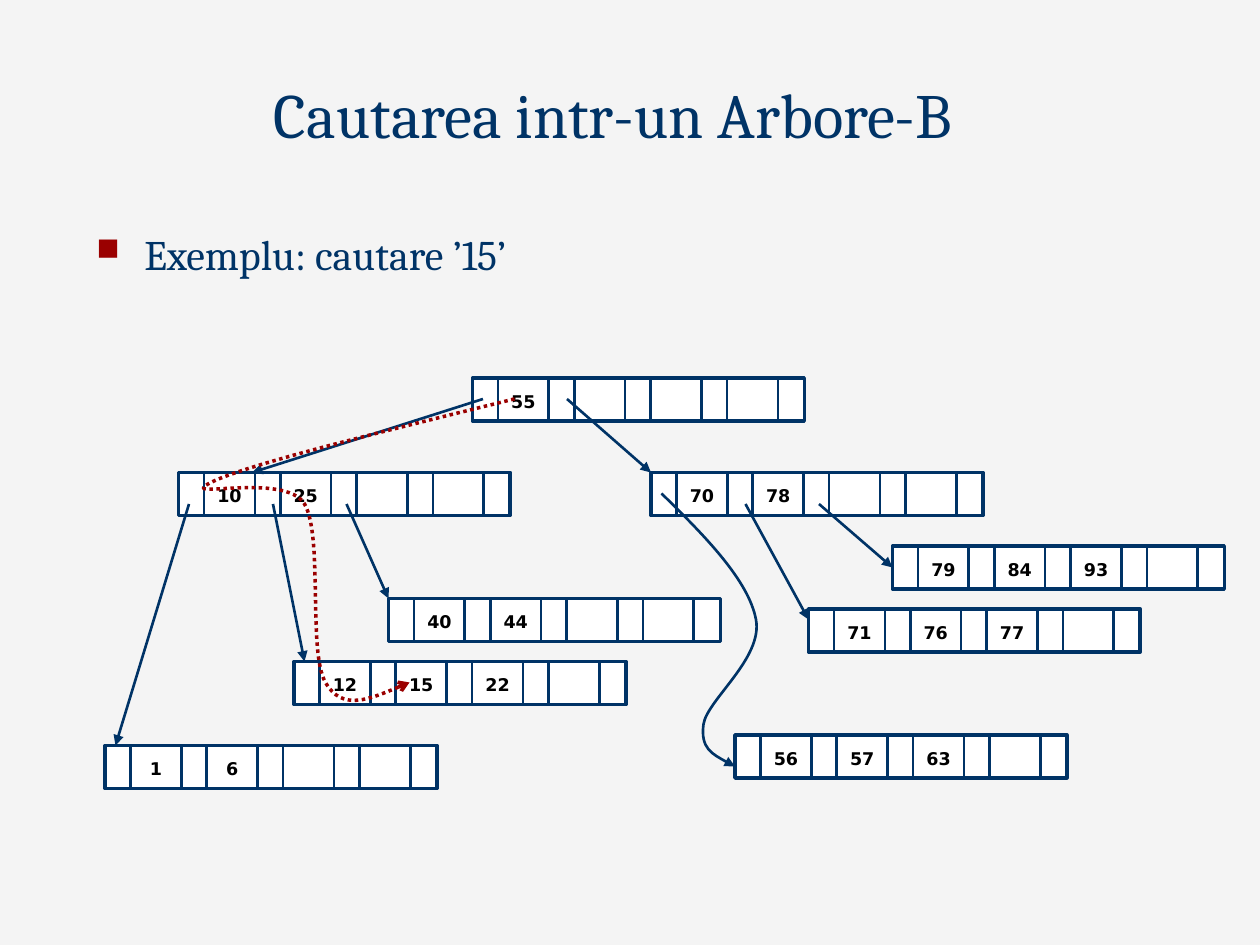
from lxml import etree
from pptx import Presentation
from pptx import util as u
from pptx.dml.color import RGBColor
from pptx.enum import dml, shapes, text
from pptx.oxml import ns

NAVY, RED, WHITE, BLACK, PAPER = "003366", "9A0000", "FFFFFF", "000000", "F4F4F4"


def color(hex_code):
    """Turn a hex string into a colour."""
    return RGBColor.from_string(hex_code)


def add_xml(parent, tag, **attributes):
    """Append a DrawingML element to parent."""
    return etree.SubElement(parent, ns.qn(tag), attributes)


class TreeSlide:
    """Draws B-tree parts on a grid of 120 columns and 90 rows."""

    serif, sans = "Cambria", "DejaVu Sans"
    node_width, node_height = 31.6, 4.1
    pointer_width, key_width, key_count = 2.42, 4.85, 4

    def __init__(self, deck):
        """Add a blank slide with a plain background."""
        self.slide = deck.slides.add_slide(deck.slide_layouts[6])
        self.unit = deck.slide_width / 120
        backdrop = self.slide.background.fill
        backdrop.solid()
        backdrop.fore_color.rgb = color(PAPER)

    def grid(self, *lengths):
        """Convert grid lengths to slide lengths."""
        return [u.Emu(round(length * self.unit)) for length in lengths]

    def label(self, parent, words, place, size, font, ink=NAVY, bold=False):
        """Add a one-paragraph text box and return it."""
        box = parent.shapes.add_textbox(*self.grid(*place))
        box.text_frame.word_wrap = True
        line = box.text_frame.paragraphs[0]
        line.text = words
        line.font.size, line.font.name, line.font.bold = u.Pt(size), font, bold
        line.font.color.rgb = color(ink)
        return box

    def title(self, words):
        """Add the centred slide title."""
        frame = self.label(self.slide, words, (8, 6.5, 100.8, 8.5), 36, self.serif).text_frame
        frame.vertical_anchor = text.MSO_ANCHOR.BOTTOM
        frame.auto_size = text.MSO_AUTO_SIZE.SHAPE_TO_FIT_TEXT
        frame.paragraphs[0].alignment = text.PP_ALIGN.CENTER

    def bullet(self, words):
        """Add the body text with a square bullet."""
        frame = self.label(self.slide, words, (8, 15, 111, 26), 24, self.serif).text_frame
        frame.margin_top = u.Inches(0.56)
        properties = frame.paragraphs[0]._p.get_or_add_pPr()
        indent = u.Inches(0.38)
        properties.set("marL", str(indent))
        properties.set("indent", str(-indent))
        add_xml(add_xml(properties, "a:buClr"), "a:srgbClr", val=RED)
        add_xml(properties, "a:buSzPct", val="75000")
        add_xml(properties, "a:buChar", char="■")

    def stroke(self, item, ink, width, head=None):
        """Style a line and give it an optional arrowhead."""
        item.line.color.rgb = color(ink)
        item.line.width = u.Pt(width)
        if head:
            add_xml(item.line._get_or_add_ln(), "a:tailEnd", type=head)

    def line(self, parent, start, end, head=None):
        """Add a straight line and return it."""
        connector = parent.shapes.add_connector(
            shapes.MSO_CONNECTOR.STRAIGHT, *self.grid(*start, *end))
        self.stroke(connector, NAVY, 1.5, head)
        add_xml(connector._element.spPr, "a:effectLst")
        return connector

    def node(self, left, top, keys):
        """Add a tree node with its keys and return its frame."""
        group = self.slide.shapes.add_group_shape()
        frame = group.shapes.add_shape(
            shapes.MSO_SHAPE.RECTANGLE,
            *self.grid(left, top, self.node_width, self.node_height))
        frame.shadow.inherit = False
        frame.fill.solid()
        frame.fill.fore_color.rgb = color(WHITE)
        self.stroke(frame, NAVY, 2)
        for slot in range(self.key_count):
            key_left = left + self.pointer_width + slot * (self.pointer_width + self.key_width)
            for x in (key_left, key_left + self.key_width):
                self.line(group, (x, top + 0.1), (x, top + 0.1 + self.node_height))
            if slot < len(keys):
                place = (key_left, top + 0.6, self.key_width, 3.2)
                cell = self.label(group, str(keys[slot]), place, 10, self.sans, BLACK, True)
                cell.text_frame.margin_left = cell.text_frame.margin_right = 0
                cell.text_frame.vertical_anchor = text.MSO_ANCHOR.MIDDLE
                cell.text_frame.paragraphs[0].alignment = text.PP_ALIGN.CENTER
        return frame

    def curve(self, points, ink, width, head, dash=None):
        """Add a chain of cubic curves through start, control and end points."""
        start, *others = [self.grid(*point) for point in points]
        builder = self.slide.shapes.build_freeform(*start)
        builder.add_line_segments(others, close=False)
        outline = builder.convert_to_shape()
        outline.shadow.inherit = False
        outline.fill.background()
        segments = outline._element.xpath(".//a:lnTo")
        for first in range(0, len(segments), 3):
            bend = etree.Element(ns.qn("a:cubicBezTo"))
            segments[first].addprevious(bend)
            for segment in segments[first:first + 3]:
                bend.append(segment[0])
                segment.getparent().remove(segment)
        if dash:
            outline.line.dash_style = dash
        self.stroke(outline, ink, width, head)


def main():
    """Build the B-tree search slide."""
    deck = Presentation()
    deck.slide_width, deck.slide_height = u.Inches(10), u.Inches(7.5)
    tree = TreeSlide(deck)
    tree.title("Cautarea intr-un Arbore-B")
    tree.bullet("Exemplu: cautare ’15’")

    nodes = [
        (62, 45, [70, 78]), (45, 36, [55]), (17, 45, [10, 25]),
        (37, 57, [40, 44]), (28, 63, [12, 15, 22]), (85, 52, [79, 84, 93]),
        (77, 58, [71, 76, 77]), (70, 70, [56, 57, 63]), (10, 71, [1, 6]),
    ]
    frames = {keys[0]: tree.node(left, top, keys) for left, top, keys in nodes}

    branches = [
        ((46, 38), (24, 45)), ((54, 38), (62, 45)), ((18, 48), (11, 71)),
        ((26, 48), (29, 63)), ((33, 48), (37, 57)), ((71, 48), (77, 59)),
    ]
    for start, end in branches:
        tree.line(tree.slide, start, end, "triangle")
    tree.line(tree.slide, (78, 48), (85, 54), "triangle").end_connect(frames[79], 1)

    branch_to_56 = [
        (63, 47), (67.2, 51.1), (71.3, 55.3), (72, 59), (72.7, 62.7),
        (67.3, 66.7), (67, 69), (66.7, 71.3), (68.3, 72.1), (70, 73),
    ]
    tree.curve(branch_to_56, NAVY, 1.5, "triangle")
    search_for_15 = [
        (49, 38), (36.1, 41.2), (23.3, 44.3), (20, 46), (16.7, 47.7),
        (27.1, 44.9), (29, 48), (30.8, 51.1), (29.3, 62.1), (31, 65),
        (32.6, 67.8), (35.9, 66.3), (39, 65),
    ]
    tree.curve(search_for_15, RED, 2, "arrow", dml.MSO_LINE.ROUND_DOT)
    deck.save("out.pptx")


if __name__ == "__main__":
    main()
